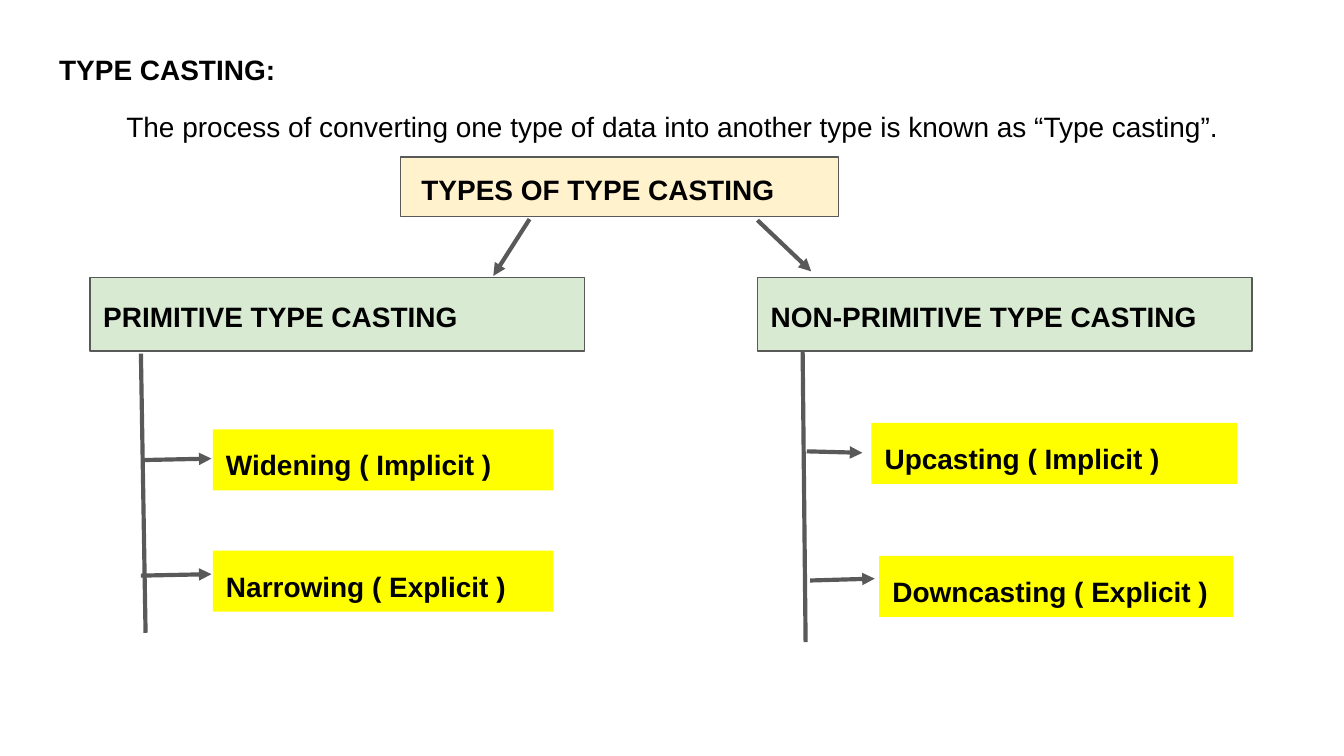
import pptx
import pptx.dml.color
import pptx.enum.shapes
import pptx.enum.text
import pptx.oxml.ns
import pptx.util
from lxml import etree

Pt = pptx.util.Pt
RGBColor = pptx.dml.color.RGBColor
MSO_ANCHOR = pptx.enum.text.MSO_ANCHOR

BLACK = RGBColor(0x00, 0x00, 0x00)
GRAY = RGBColor(0x59, 0x59, 0x59)
CREAM = RGBColor(0xFF, 0xF2, 0xCC)
GREEN = RGBColor(0xD9, 0xEA, 0xD3)
YELLOW = RGBColor(0xFF, 0xFF, 0x00)

HEADING_TOP, HEADING_W, HEADING_H = 148.5, 265, 39.5
ITEM_H = 32.7

# Each branch: heading, its left edge, trunk ends, and items as (text, box, arrow)
BRANCHES = [
    ("PRIMITIVE TYPE CASTING", 48.2, (75.5, 189.5, 78, 339), [
        ("Widening ( Implicit )", (114, 230, 182.5), (76.5, 246.5, 113.3, 245.7)),
        ("Narrowing ( Explicit )", (114, 295, 182.5), (75.5, 308.4, 113.3, 307.6)),
    ]),
    ("NON-PRIMITIVE TYPE CASTING", 405.8, (430, 188.5, 431.6, 344), [
        ("Upcasting ( Implicit )", (466.8, 226.6, 196), (432.2, 241.8, 462, 242.6)),
        ("Downcasting ( Explicit )", (471, 297.8, 189.5), (434, 311, 468.6, 310)),
    ]),
]


def set_text(p, text, bold=True, left=0):
    """Write one paragraph of text with its format."""
    p.alignment = pptx.enum.text.PP_ALIGN.LEFT
    p.line_spacing = 1.15
    p.space_before = Pt(10)
    pPr = p._p.get_or_add_pPr()
    pPr.set("marL", str(Pt(left)))
    pPr.set("indent", "0")
    etree.SubElement(pPr, pptx.oxml.ns.qn("a:buNone"))
    r = p.add_run()
    r.text = text
    r.font.name = "Arial"
    r.font.size = Pt(15)
    r.font.bold = bold
    r.font.color.rgb = BLACK


def set_frame(tf, anchor):
    tf.word_wrap = True
    tf.auto_size = pptx.enum.text.MSO_AUTO_SIZE.NONE
    tf.vertical_anchor = anchor
    tf.margin_left = tf.margin_right = Pt(7.2)
    tf.margin_top = tf.margin_bottom = Pt(7.2)


def add_box(s, text, x, y, w, h, fill, line=None, anchor=MSO_ANCHOR.MIDDLE, left=0):
    sp = s.shapes.add_shape(pptx.enum.shapes.MSO_SHAPE.RECTANGLE,
                            Pt(x), Pt(y), Pt(w), Pt(h))
    sp.shadow.inherit = False
    sp.fill.solid()
    sp.fill.fore_color.rgb = fill
    if line is None:
        sp.line.fill.background()
    else:
        sp.line.color.rgb = line
        sp.line.width = Pt(0.75)
    set_frame(sp.text_frame, anchor)
    set_text(sp.text_frame.paragraphs[0], text, left=left)


def add_line(s, x1, y1, x2, y2, arrow=True):
    sp = s.shapes.add_connector(pptx.enum.shapes.MSO_CONNECTOR.STRAIGHT,
                                Pt(x1), Pt(y1), Pt(x2), Pt(y2))
    sp.line.color.rgb = GRAY
    sp.line.width = Pt(2.25)
    qn = pptx.oxml.ns.qn
    if arrow:
        etree.SubElement(sp.line._get_or_add_ln(), qn("a:tailEnd"), type="triangle")
    etree.SubElement(sp._element.spPr, qn("a:effectLst"))


def add_definition(s):
    body = s.placeholders[1]
    body.left, body.top, body.width, body.height = Pt(24.5), Pt(18), Pt(671), Pt(368.6)
    tf = body.text_frame
    set_frame(tf, MSO_ANCHOR.TOP)
    set_text(tf.paragraphs[0], "TYPE CASTING:")
    set_text(tf.add_paragraph(),
             "The process of converting one type of data into another type "
             "is known as “Type casting”.", bold=False, left=36)


def add_branch(s, heading, x, trunk, items):
    add_box(s, heading, x, HEADING_TOP, HEADING_W, HEADING_H, GREEN, GRAY)
    add_line(s, *trunk, arrow=False)
    for text, (left, top, width), arrow in items:
        add_line(s, *arrow)
        add_box(s, text, left, top, width, ITEM_H, YELLOW, anchor=MSO_ANCHOR.TOP)


def main():
    prs = pptx.Presentation()
    prs.slide_width, prs.slide_height = Pt(720), Pt(405)
    s = prs.slides.add_slide(prs.slide_layouts[1])
    title = s.shapes.title._element
    title.getparent().remove(title)

    # Term and definition
    add_definition(s)

    # Root of the tree and its two arrows
    add_box(s, "TYPES OF TYPE CASTING", 214.5, 84.2, 234.7, 31.7, CREAM, GRAY, left=4.2)
    add_line(s, 283.7, 117.4, 264.3, 147.8)
    add_line(s, 405.8, 118, 434.6, 145.4)

    # Branches with their kinds of casting
    for branch in BRANCHES:
        add_branch(s, *branch)

    prs.save("out.pptx")


if __name__ == "__main__":
    main()
